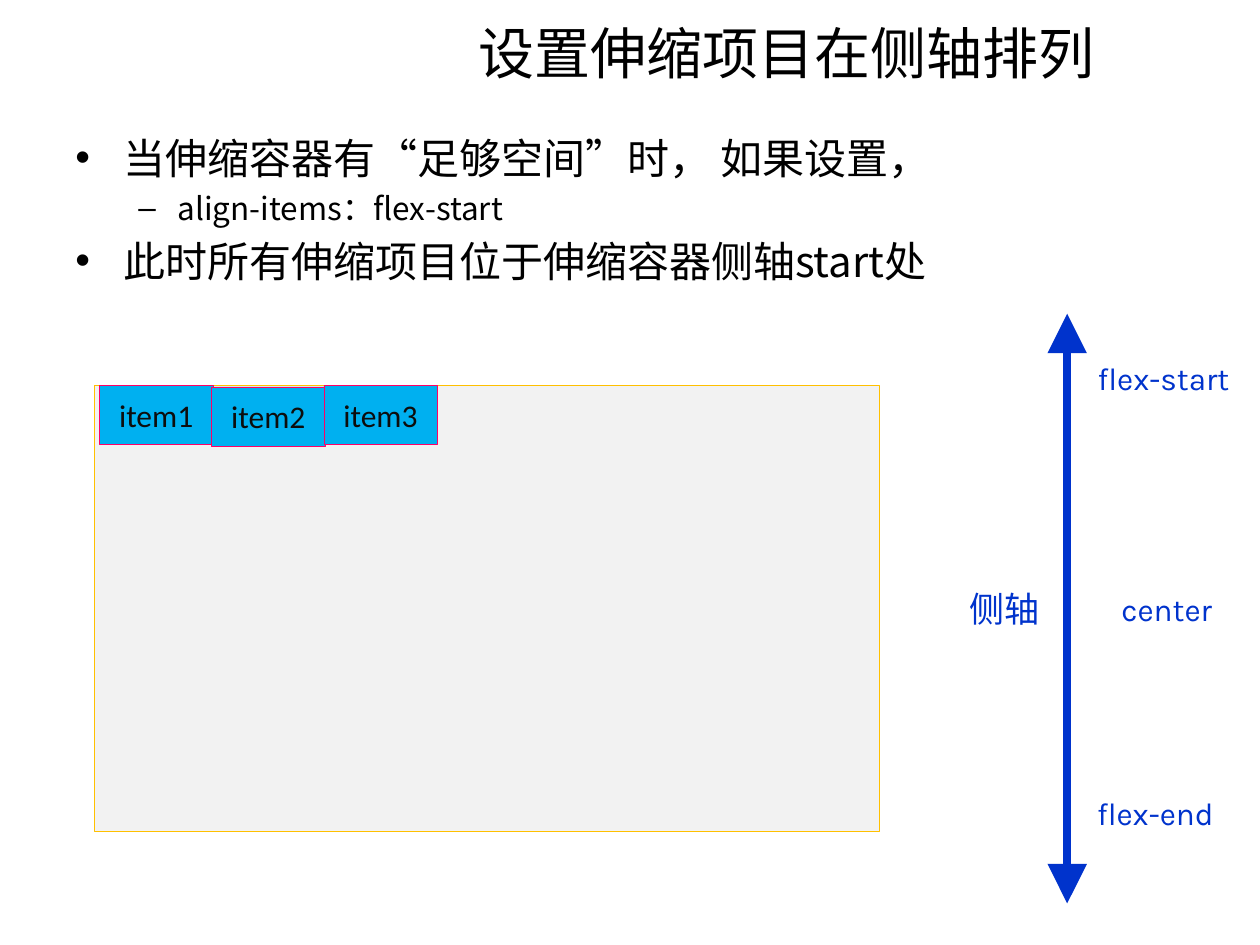
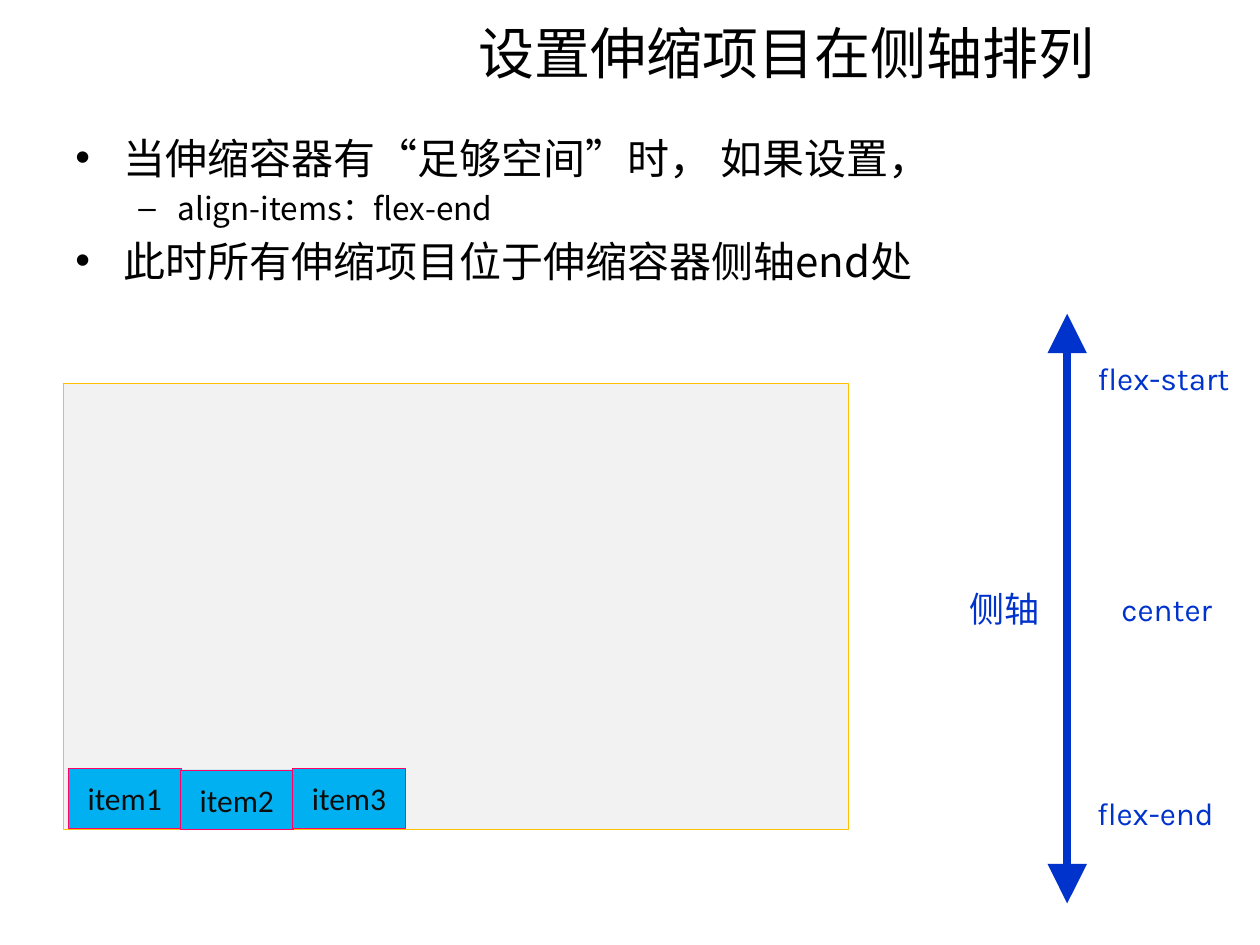
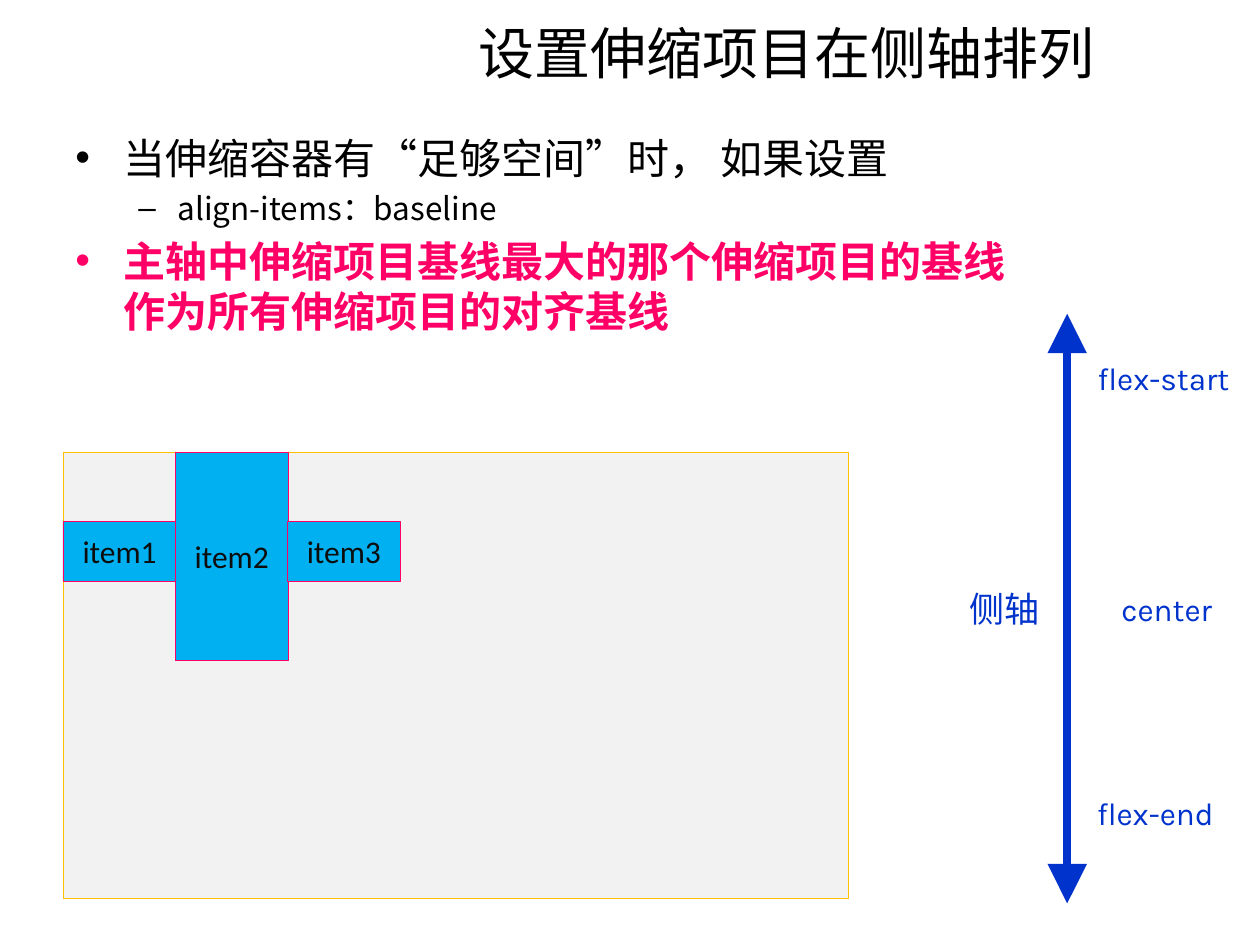
from dataclasses import dataclass

from lxml.etree import SubElement
from pptx import Presentation
from pptx.dml.color import RGBColor
from pptx.enum.shapes import MSO_CONNECTOR, MSO_SHAPE
from pptx.enum.text import MSO_ANCHOR, PP_ALIGN
from pptx.oxml import parse_xml
from pptx.oxml.ns import nsdecls, qn
from pptx.util import Inches, Pt

# Shared style
BLACK = "000000"
ITEM_TEXT = "0D0D0D"
AXIS_BLUE = "0033CC"
ITEM_BLUE = "00B0F0"
PINK = "FF0066"
AMBER = "FFC000"
PALE_GREY = "F2F2F2"
BODY_FONT = "Noto Sans CJK SC"
AXIS_FONT = "Noto Sans CJK JP"
LABEL_FONT = "Karla"
ITEM_FONT = "Calibri"

TITLE = "设置伸缩项目在侧轴排列"
CONTAINER_WIDTH, CONTAINER_HEIGHT = 6.23, 3.54
ITEM_WIDTH, ITEM_HEIGHT, ITEM_PITCH = 0.9, 0.47, 0.89


@dataclass(frozen=True)
class Box:
    left: float
    top: float
    width: float
    height: float


@dataclass(frozen=True)
class BulletStyle:
    character: str
    level: int
    margin: float
    hanging: float
    size: int


@dataclass(frozen=True)
class Bullet:
    text: str
    style: BulletStyle
    color: str = BLACK
    bold: bool = False


@dataclass(frozen=True)
class AxisLabel:
    text: str
    box: Box
    size: int = 18
    font: str = LABEL_FONT


@dataclass(frozen=True)
class FlexExample:
    bullets: tuple[Bullet, ...]
    body: Box
    container_left: float
    container_top: float
    first_item_left: float
    item_top: float
    middle_top: float
    middle_height: float = ITEM_HEIGHT


MAIN = BulletStyle("•", 0, 0.38, 0.38, 24)
SUB = BulletStyle("–", 1, 0.81, 0.31, 18)
WIDE_BODY = Box(0.5, 1, 9, 1.49)

AXIS_LABELS = (
    AxisLabel("flex-start", Box(8.47, 2.8, 1.53, 0.4)),
    AxisLabel("flex-end", Box(8.41, 6.25, 1.52, 0.4)),
    AxisLabel("center", Box(8.69, 4.63, 1.14, 0.4)),
    AxisLabel("侧轴", Box(7.55, 4.61, 0.84, 0.44), 20, AXIS_FONT),
)

EXAMPLES = (
    FlexExample(
        (
            Bullet("当伸缩容器有“足够空间”时， 如果设置，", MAIN),
            Bullet("align-items：flex-start", SUB),
            Bullet("此时所有伸缩项目位于伸缩容器侧轴start处", MAIN),
        ),
        WIDE_BODY, 0.75, 3.06, 0.79, 3.06, 3.07,
    ),
    FlexExample(
        (
            Bullet("当伸缩容器有“足够空间”时， 如果设置，", MAIN),
            Bullet("align-items：flex-end", SUB),
            Bullet("此时所有伸缩项目位于伸缩容器侧轴end处", MAIN),
        ),
        WIDE_BODY, 0.5, 3.04, 0.54, 6.1, 6.11,
    ),
    FlexExample(
        (
            Bullet("当伸缩容器有“足够空间”时， 如果设置", MAIN),
            Bullet("align-items：baseline", SUB),
            Bullet("主轴中伸缩项目基线最大的那个伸缩项目的基线作为所有伸缩项目的对齐基线",
                   MAIN, PINK, True),
        ),
        Box(0.5, 1, 7.75, 2.08), 0.5, 3.59, 0.5, 4.14, 3.59, 1.65,
    ),
)


def rgb(color: str) -> RGBColor:
    return RGBColor.from_string(color)


def place(box: Box) -> tuple:
    return tuple(Inches(value) for value in (box.left, box.top, box.width, box.height))


def set_font(paragraph, name: str, size: int, color: str, bold: bool = False) -> None:
    font = paragraph.font
    font.name, font.size, font.bold = name, Pt(size), bold
    font.color.rgb = rgb(color)
    # East Asian letters take the same font
    defaults = paragraph._p.pPr.find(qn("a:defRPr"))
    SubElement(defaults, qn("a:ea"), typeface=name)


def add_text(slide, box: Box, text: str, font: str, size: int, color: str,
             anchor=MSO_ANCHOR.TOP) -> None:
    frame = slide.shapes.add_textbox(*place(box)).text_frame
    frame.word_wrap = True
    frame.vertical_anchor = anchor
    paragraph = frame.paragraphs[0]
    paragraph.text = text
    paragraph.alignment = PP_ALIGN.CENTER
    set_font(paragraph, font, size, color)


def add_bullets(slide, box: Box, bullets: tuple[Bullet, ...]) -> None:
    frame = slide.shapes.add_textbox(*place(box)).text_frame
    frame.word_wrap = True
    for index, bullet in enumerate(bullets):
        paragraph = frame.add_paragraph() if index else frame.paragraphs[0]
        style = bullet.style
        paragraph.text = bullet.text
        paragraph.level = style.level
        paragraph.space_before = Pt(style.size * 0.2)
        set_font(paragraph, BODY_FONT, style.size, bullet.color, bullet.bold)
        properties = paragraph._p.pPr
        properties.set("marL", str(Inches(style.margin)))
        properties.set("indent", str(-Inches(style.hanging)))
        defaults = properties.find(qn("a:defRPr"))
        defaults.addprevious(parse_xml(f'<a:buFont {nsdecls("a")} typeface="Arial"/>'))
        defaults.addprevious(
            parse_xml(f'<a:buChar {nsdecls("a")} char="{style.character}"/>'))


def add_block(slide, box: Box, fill: str, line: str, text: str = "") -> None:
    shape = slide.shapes.add_shape(MSO_SHAPE.ROUNDED_RECTANGLE, *place(box))
    shape.adjustments[0] = 0
    shape.shadow.inherit = False
    shape.fill.solid()
    shape.fill.fore_color.rgb = rgb(fill)
    shape.line.color.rgb = rgb(line)
    shape.line.width = Pt(0.25)
    if text:
        shape.text_frame.vertical_anchor = MSO_ANCHOR.MIDDLE
        paragraph = shape.text_frame.paragraphs[0]
        paragraph.text = text
        paragraph.alignment = PP_ALIGN.CENTER
        set_font(paragraph, ITEM_FONT, 18, ITEM_TEXT)


def add_cross_axis(slide) -> None:
    for label in AXIS_LABELS:
        add_text(slide, label.box, label.text, label.font, label.size, AXIS_BLUE)
    axis = slide.shapes.add_connector(
        MSO_CONNECTOR.STRAIGHT, Inches(8.47), Inches(2.49), Inches(8.47), Inches(7.17))
    axis.line.color.rgb = rgb(AXIS_BLUE)
    axis.line.width = Pt(4.5)
    for end in ("a:headEnd", "a:tailEnd"):
        SubElement(axis.line._ln, qn(end), type="triangle", w="lg", len="lg")
    SubElement(axis._element.spPr, qn("a:effectLst"))


def add_flex_container(slide, example: FlexExample) -> None:
    container = Box(example.container_left, example.container_top,
                    CONTAINER_WIDTH, CONTAINER_HEIGHT)
    add_block(slide, container, PALE_GREY, AMBER)
    rows = (
        (example.item_top, ITEM_HEIGHT),
        (example.middle_top, example.middle_height),
        (example.item_top, ITEM_HEIGHT),
    )
    for index, (top, height) in enumerate(rows):
        left = example.first_item_left + index * ITEM_PITCH
        add_block(slide, Box(left, top, ITEM_WIDTH, height),
                  ITEM_BLUE, PINK, f"item{index + 1}")


def main() -> None:
    presentation = Presentation()
    presentation.slide_width, presentation.slide_height = Inches(10), Inches(7.5)
    for example in EXAMPLES:
        slide = presentation.slides.add_slide(presentation.slide_layouts[6])
        add_text(slide, Box(2.59, 0.03, 7.31, 0.76), TITLE, BODY_FONT, 32, BLACK,
                 MSO_ANCHOR.MIDDLE)
        add_bullets(slide, example.body, example.bullets)
        add_flex_container(slide, example)
        add_cross_axis(slide)
    presentation.save("out.pptx")


if __name__ == "__main__":
    main()
